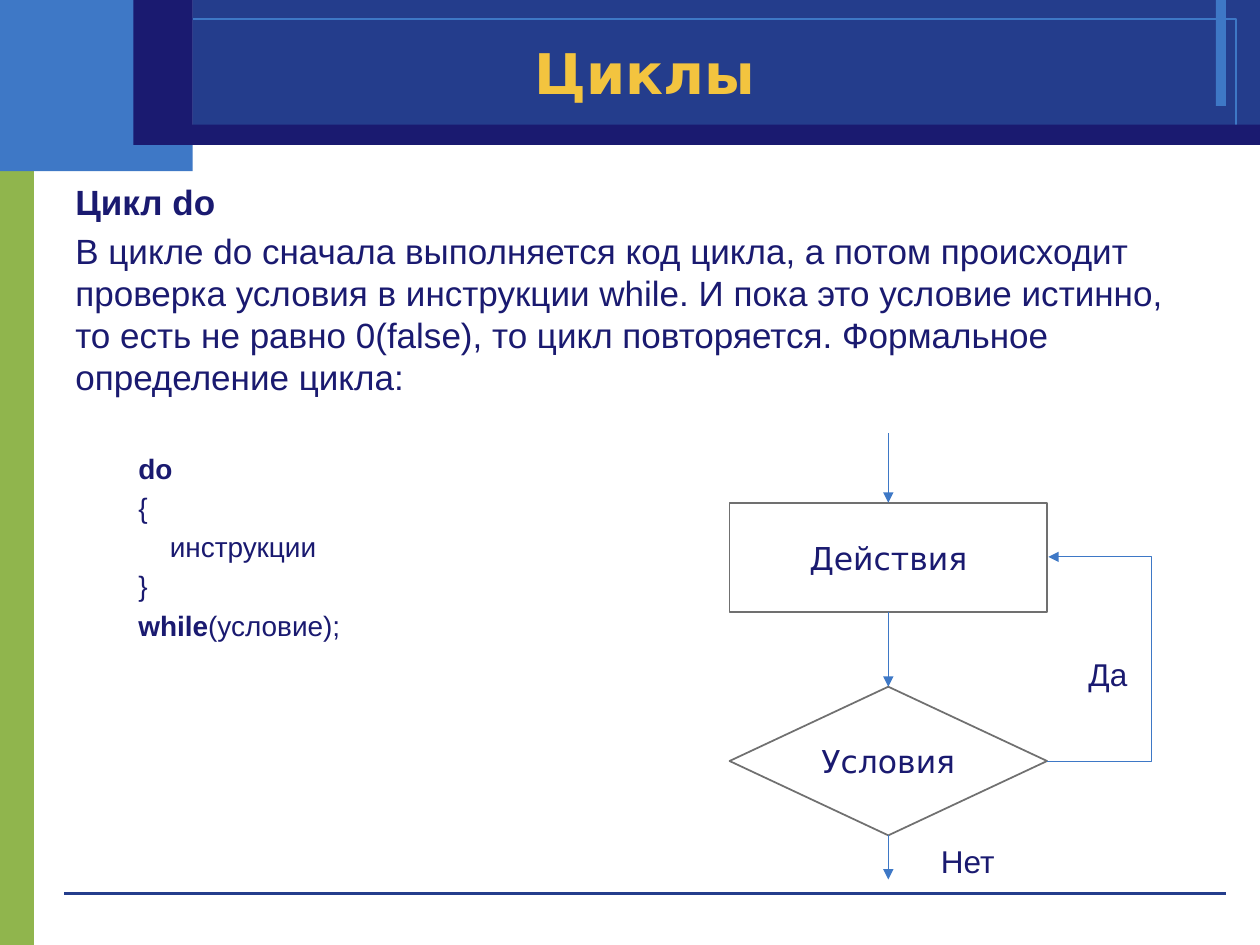
from typing import NamedTuple, Optional

from lxml import etree
from pptx import Presentation
from pptx.dml.color import RGBColor
from pptx.enum.shapes import MSO_CONNECTOR, MSO_SHAPE
from pptx.enum.text import MSO_ANCHOR, MSO_AUTO_SIZE, PP_ALIGN
from pptx.oxml.ns import qn
from pptx.util import Inches, Pt

RECT, DIAMOND = MSO_SHAPE.RECTANGLE, MSO_SHAPE.DIAMOND
STRAIGHT, ELBOW = MSO_CONNECTOR.STRAIGHT, MSO_CONNECTOR.ELBOW
LEFT, CENTER = PP_ALIGN.LEFT, PP_ALIGN.CENTER
TOP, MIDDLE = MSO_ANCHOR.TOP, MSO_ANCHOR.MIDDLE
FIT = MSO_AUTO_SIZE.SHAPE_TO_FIT_TEXT

WHITE = RGBColor(0xFF, 0xFF, 0xFF)
GREEN = RGBColor(0x90, 0xB5, 0x4D)
SKY = RGBColor(0x3E, 0x78, 0xC6)
BLUE = RGBColor(0x24, 0x3D, 0x8C)
NAVY = RGBColor(0x1A, 0x1A, 0x70)
GOLD = RGBColor(0xF3, 0xC4, 0x3F)
GRAY = RGBColor(0x70, 0x70, 0x70)
SANS, WIDE = "Arial", "DejaVu Sans"


class Box(NamedTuple):
    left: float
    top: float
    width: float
    height: float
    fill: Optional[RGBColor] = None
    line: Optional[RGBColor] = None
    weight: float = 0
    kind: int = RECT


class Para(NamedTuple):
    runs: tuple  # (text, bold) pairs
    size: float = 16
    indent: float = 0.5
    before: float = 3.2


def place(shape, left: float, top: float, width: float, height: float) -> None:
    shape.left, shape.top = Inches(left), Inches(top)
    shape.width, shape.height = Inches(width), Inches(height)


def write(para, text: str, *, size: float = 18, font: str = SANS,
          color: RGBColor = NAVY, bold: bool = False, align: int = LEFT) -> None:
    para.alignment = align
    run = para.add_run()
    run.text = text
    run.font.size, run.font.name, run.font.bold = Pt(size), font, bold
    run.font.color.rgb = color


def draw_box(shapes, box: Box):
    shape = shapes.add_shape(box.kind, *map(Inches, box[:4]))
    shape.shadow.inherit = False
    if box.fill is None:
        shape.fill.background()
    else:
        shape.fill.solid()
        shape.fill.fore_color.rgb = box.fill
    if box.line is None:
        shape.line.fill.background()
    else:
        shape.line.color.rgb = box.line
        shape.line.width = Pt(box.weight)
    return shape


def draw_line(shapes, start: tuple, end: tuple, *, kind: int = STRAIGHT,
              color: RGBColor = SKY, weight: float = 0.5, arrow: bool = True):
    line = shapes.add_connector(kind, *map(Inches, start + end))
    line.line.color.rgb = color
    line.line.width = Pt(weight)
    if arrow:
        etree.SubElement(line.line._get_or_add_ln(), qn("a:tailEnd"), type="triangle")
    etree.SubElement(line.element.spPr, qn("a:effectLst"))
    return line


def add_text(shapes, left: float, top: float, width: float, height: float, wrap: bool):
    shape = shapes.add_textbox(*map(Inches, (left, top, width, height)))
    shape.text_frame.word_wrap = wrap
    return shape.text_frame


DECOR = (
    Box(0, 1.07, 0.27, 6.44, GREEN),
    Box(0, 0, 1.53, 1.36, SKY),
    Box(1.53, 0, 8.47, 1.15, BLUE),
    Box(9.65, 0, 0.08, 0.84, SKY),
    Box(0.2, 0.15, 9.61, 0.85, line=SKY),
    Box(1.3, 0.99, 8.7, 0.16, NAVY),
    Box(1.06, 0, 0.47, 1.15, NAVY),
)
BODY = (
    Para((("Цикл do", True),), 20, 0, 4),
    Para((("В цикле do сначала выполняется код цикла, а потом происходит "
           "проверка условия в инструкции while. И пока это условие истинно, "
           "то есть не равно 0(false), то цикл повторяется. "
           "Формальное определение цикла:", False),), 20, 0, 4),
    Para((("do", True),), before=31),
    Para((("{", False),)),
    Para((("инструкции", False),), indent=0.75),
    Para((("}", False),)),
    Para((("while", True), ("(условие);", False))),
)

# Flow chart geometry
AXIS, SIDE, LOOP = 7.05, 8.31, 9.15
STEPS = (
    ("Действия", Box(5.79, 3.99, 2.52, 0.87, WHITE, GRAY, 1)),
    ("Условия", Box(5.79, 5.45, 2.52, 1.18, WHITE, GRAY, 1, DIAMOND)),
)
ARROWS = ((3.44, 3.99), (4.86, 5.45), (6.63, 6.98))
LABELS = (("Да", 8.54, 5.15, 0.51), ("Нет", 7.37, 6.63, 0.63))


def main() -> None:
    deck = Presentation()
    deck.slide_width, deck.slide_height = Inches(10), Inches(7.5)
    slide = deck.slides.add_slide(deck.slide_layouts[5])
    shapes = slide.shapes

    # Frame and footer line
    for box in DECOR:
        draw_box(shapes, box)
    draw_line(shapes, (0.51, 7.09), (9.73, 7.09), color=BLUE, weight=0, arrow=False)

    # Title, brought in front of the frame
    title = shapes.title
    place(title, 0.82, 0.26, 8.6, 0.62)
    title.text_frame.vertical_anchor = MIDDLE
    write(title.text_frame.paragraphs[0], "Циклы", size=32, font=WIDE,
          color=GOLD, bold=True, align=CENTER)
    title.element.getparent().append(title.element)

    # Body text and code
    frame = add_text(shapes, 0.5, 1.38, 9, 5.74, True)
    frame.vertical_anchor = TOP
    for i, item in enumerate(BODY):
        para = frame.add_paragraph() if i else frame.paragraphs[0]
        para.space_before = Pt(item.before)
        props = para._p.get_or_add_pPr()
        props.set("marL", str(Inches(item.indent)))
        props.set("indent", "0")
        for text, bold in item.runs:
            write(para, text, size=item.size, bold=bold)

    # Flow chart steps
    for text, box in STEPS:
        frame = draw_box(shapes, box).text_frame
        frame.vertical_anchor = MIDDLE
        write(frame.paragraphs[0], text, font=WIDE, align=CENTER)

    # Arrows down the axis and the loop back
    for start, end in ARROWS:
        draw_line(shapes, (AXIS, start), (AXIS, end))
    gap = 0.01
    loop = draw_line(shapes, (SIDE, 6.04), (SIDE + gap, 4.42), kind=ELBOW)
    bend = round((LOOP - SIDE) / gap * 100000)
    guides = loop.element.spPr.find(qn("a:prstGeom")).get_or_add_avLst()
    etree.SubElement(guides, qn("a:gd"), name="adj1", fmla=f"val {bend}")

    # Branch labels
    for text, left, top, width in LABELS:
        frame = add_text(shapes, left, top, width, 0.4, False)
        frame.auto_size = FIT
        write(frame.paragraphs[0], text)

    deck.save("out.pptx")


if __name__ == "__main__":
    main()
